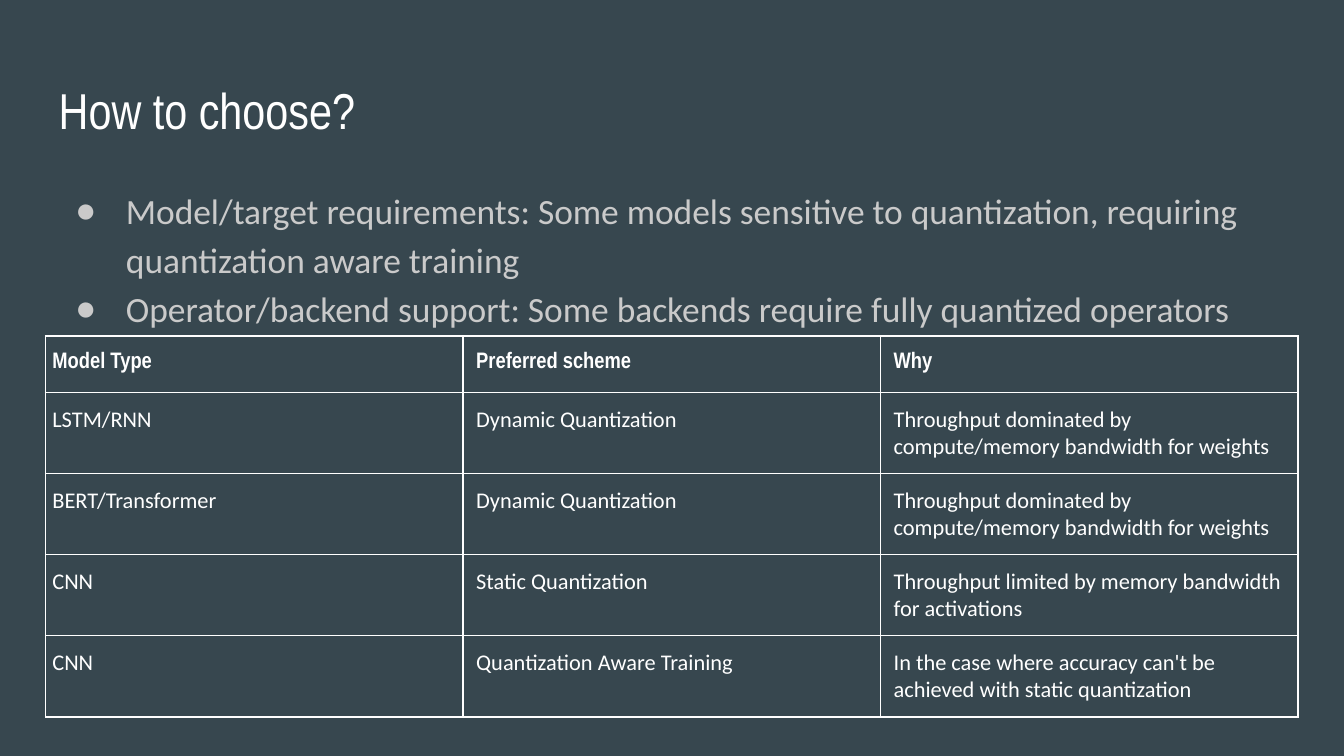
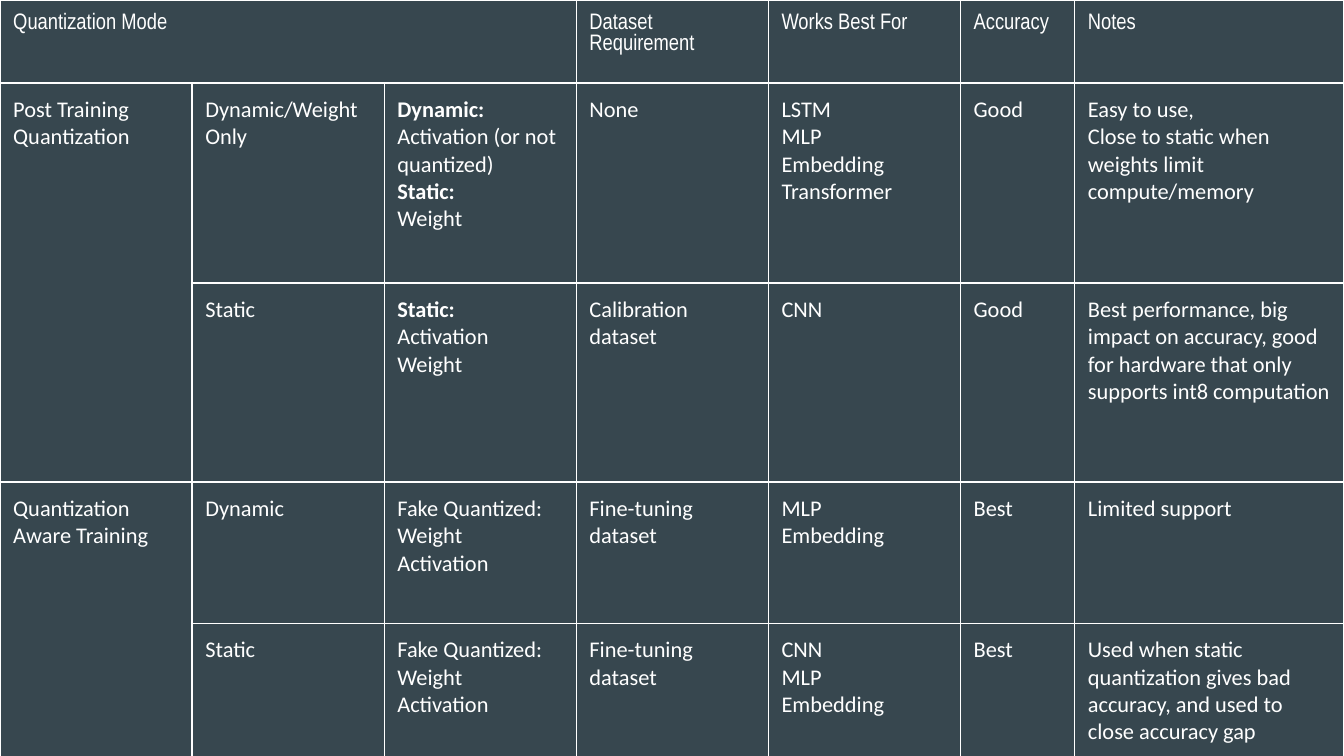
from lxml.etree import SubElement
from pptx import Presentation
from pptx.dml.color import RGBColor
from pptx.enum.text import MSO_ANCHOR, MSO_AUTO_SIZE, PP_ALIGN
from pptx.oxml.ns import qn
from pptx.util import Cm, Pt

SLATE = RGBColor(0x37, 0x47, 0x4F)
WHITE = RGBColor(0xFF, 0xFF, 0xFF)
SILVER = RGBColor(0xCA, 0xCA, 0xCA)
HEADING_FONT = "Arial Narrow"
BODY_FONT = "Calibri"
INSET = Cm(0.25)
MARGIN = 0.86
CONTENT_WIDTH = 23.67


def add_bullet(para, color):
    """Give a paragraph a round bullet with a hanging indent."""
    properties = para._p.get_or_add_pPr()
    properties.set("marL", str(Cm(1.27)))
    properties.set("indent", str(-Cm(0.96)))
    bullet_color = SubElement(properties, qn("a:buClr"))
    SubElement(bullet_color, qn("a:srgbClr"), val=str(color))
    SubElement(properties, qn("a:buChar"), char="●")


def write(frame, text, font=BODY_FONT, size=12, color=WHITE, bold=False,
          spacing=1.0, bullet=False):
    """Fill a text frame, one paragraph per line; a leading * makes a line bold."""
    for index, line in enumerate(text.split("\n")):
        para = frame.add_paragraph() if index else frame.paragraphs[0]
        if bullet:
            add_bullet(para, color)
        para.alignment = PP_ALIGN.LEFT
        para.line_spacing = spacing
        para.space_before = para.space_after = Pt(0)
        span = para.add_run()
        span.text = line.removeprefix("*")
        span.font.name = font
        span.font.size = Pt(size)
        span.font.bold = bold or line.startswith("*")
        span.font.color.rgb = color


def add_borders(cell, color=WHITE, width=0.75):
    properties = cell._tc.get_or_add_tcPr()
    for side in ("L", "R", "T", "B"):
        line = SubElement(properties, qn(f"a:ln{side}"), w=str(Pt(width)))
        fill = SubElement(line, qn("a:solidFill"))
        SubElement(fill, qn("a:srgbClr"), val=str(color))


class DeckBuilder:
    def __init__(self):
        self.deck = Presentation()
        self.deck.slide_width = Cm(25.4)
        self.deck.slide_height = Cm(14.29)
        background = self.deck.slide_master.background.fill
        background.solid()
        background.fore_color.rgb = SLATE
        self.page = None

    def add_page(self, layout):
        self.page = self.deck.slides.add_slide(
            self.deck.slide_layouts.get_by_name(layout))

    def fill_placeholder(self, box, top, height, text, **style):
        box.left, box.top = Cm(MARGIN), Cm(top)
        box.width, box.height = Cm(CONTENT_WIDTH), Cm(height)
        frame = box.text_frame
        frame.word_wrap = True
        frame.auto_size = MSO_AUTO_SIZE.NONE
        frame.vertical_anchor = MSO_ANCHOR.TOP
        frame.margin_left = frame.margin_right = INSET
        frame.margin_top = frame.margin_bottom = INSET
        write(frame, text, **style)

    def add_title(self, text):
        self.fill_placeholder(self.page.shapes.title, 1.24, 1.6, text,
                              font=HEADING_FONT, size=27)

    def add_bullets(self, lines):
        self.fill_placeholder(self.page.placeholders[1], 3.2, 3.43,
                              "\n".join(lines), size=19, color=SILVER,
                              spacing=1.15, bullet=True)

    def add_table(self, left, top, widths, heights, rows, merges=(),
                  first_inset=INSET, **header_style):
        """Add a bordered table; None marks a cell covered by a merge."""
        table = self.page.shapes.add_table(
            len(heights), len(widths), Cm(left), Cm(top),
            Cm(sum(widths)), Cm(sum(heights))).table
        table.first_row = table.horz_banding = False
        for column, width in zip(table.columns, widths):
            column.width = Cm(width)
        for row, height in zip(table.rows, heights):
            row.height = Cm(height)
        for row_index, texts in enumerate(rows):
            style = {"font": HEADING_FONT, **header_style} if row_index == 0 else {}
            for column_index, text in enumerate(texts):
                cell = table.cell(row_index, column_index)
                cell.margin_left = INSET if column_index else first_inset
                cell.margin_right = cell.margin_top = cell.margin_bottom = INSET
                add_borders(cell)
                cell.fill.background()
                if text is not None:
                    write(cell.text_frame, text, **style)
        for start, end in merges:
            table.cell(*start).merge(table.cell(*end))


def main():
    builder = DeckBuilder()

    # Choosing a scheme
    builder.add_page("Title and Content")
    builder.add_title("How to choose?")
    builder.add_bullets([
        "Model/target requirements: Some models sensitive to quantization, "
        "requiring quantization aware training",
        "Operator/backend support: Some backends require fully quantized operators",
    ])
    weight_bound = "Throughput dominated by compute/memory bandwidth for weights"
    schemes = [
        ["Model Type", "Preferred scheme", "Why"],
        ["LSTM/RNN", "Dynamic Quantization", weight_bound],
        ["BERT/Transformer", "Dynamic Quantization", weight_bound],
        ["CNN", "Static Quantization",
         "Throughput limited by memory bandwidth for activations"],
        ["CNN", "Quantization Aware Training",
         "In the case where accuracy can't be achieved with static quantization"],
    ]
    builder.add_table(MARGIN, 6.35, [CONTENT_WIDTH / 3] * 3, [1.07] * 5, schemes,
                      first_inset=Cm(0.13), bold=True, spacing=1.15)

    # Comparison of quantization modes
    builder.add_page("Blank")
    fake_quantized = "Fake Quantized:\nWeight\nActivation"
    modes = [
        ["Quantization Mode", None, None, "Dataset Requirement",
         "Works Best For", "Accuracy", "Notes"],
        ["Post Training Quantization", "Dynamic/Weight Only",
         "*Dynamic:\nActivation (or not quantized)\n*Static:\nWeight", "None",
         "LSTM\nMLP\nEmbedding\nTransformer", "Good",
         "Easy to use,\nClose to static when weights limit compute/memory"],
        [None, "Static", "*Static:\nActivation\nWeight", "Calibration dataset",
         "CNN", "Good",
         "Best performance, big impact on accuracy, good for hardware that "
         "only supports int8 computation"],
        ["Quantization Aware Training", "Dynamic", fake_quantized,
         "Fine-tuning dataset", "MLP\nEmbedding", "Best", "Limited support"],
        [None, "Static", fake_quantized, "Fine-tuning dataset",
         "CNN\nMLP\nEmbedding", "Best",
         "Used when static quantization gives bad accuracy, and used to "
         "close accuracy gap"],
    ]
    builder.add_table(0, 0, [3.63] * 5 + [2.16, 5.08],
                      [1.57, 3.78, 3.76, 2.67, 2.67], modes,
                      merges=[((0, 0), (0, 2)), ((1, 0), (2, 0)), ((3, 0), (4, 0))])

    builder.deck.save("out.pptx")


if __name__ == "__main__":
    main()
